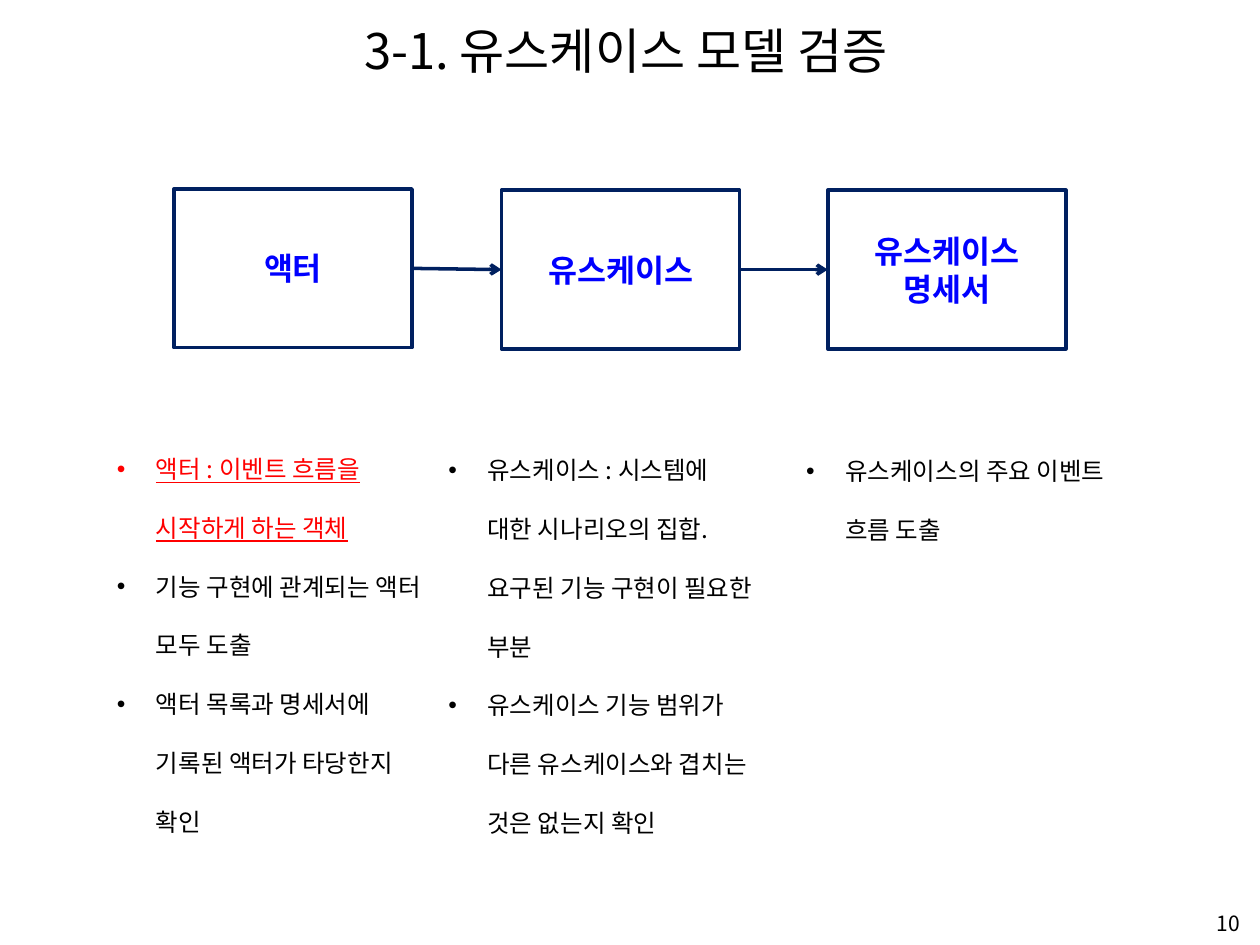
import lxml.etree
import pptx
import pptx.dml.color
import pptx.enum.shapes
import pptx.enum.text
import pptx.oxml.ns
import pptx.util

Inches = pptx.util.Inches
Pt = pptx.util.Pt
RGBColor = pptx.dml.color.RGBColor
Align = pptx.enum.text.PP_ALIGN
Anchor = pptx.enum.text.MSO_ANCHOR
qn = pptx.oxml.ns.qn

FONT = "Noto Sans CJK KR"
BLACK = RGBColor(0x00, 0x00, 0x00)
RED = RGBColor(0xFF, 0x00, 0x00)
BLUE = RGBColor(0x00, 0x00, 0xFF)
NAVY = RGBColor(0x00, 0x20, 0x60)


def write(box, text, first=True, size=14, color=BLACK, bold=False, underline=False,
          align=Align.LEFT, anchor=Anchor.MIDDLE, bullet=False):
    frame = box.text_frame
    frame.word_wrap = True
    frame.vertical_anchor = anchor
    para = frame.paragraphs[0] if first else frame.add_paragraph()
    para.alignment = align
    if bullet:
        para.line_spacing = 2.0
        properties = para._p.get_or_add_pPr()
        properties.set("marL", str(Inches(0.31)))
        properties.set("indent", str(-Inches(0.31)))
        lxml.etree.SubElement(properties, qn("a:buFont")).set("typeface", "Arial")
        lxml.etree.SubElement(properties, qn("a:buChar")).set("char", "•")
    span = para.add_run()
    span.text = text
    span.font.size = Pt(size)
    span.font.bold = bold
    span.font.underline = underline
    span.font.color.rgb = color
    span.font.name = FONT
    lxml.etree.SubElement(span.font._element, qn("a:ea")).set("typeface", FONT)


deck = pptx.Presentation()
deck.slide_width = Inches(10)
deck.slide_height = Inches(7.5)
page = deck.slides.add_slide(deck.slide_layouts[6])

title = page.shapes.add_textbox(Inches(0.12), Inches(0.05), Inches(9.69), Inches(0.69))
write(title, "3-1. 유스케이스 모델 검증", size=28, align=Align.CENTER)

page_number = page.shapes.add_textbox(Inches(7.61), Inches(7.2), Inches(2.33), Inches(0.25))
write(page_number, "10", size=12, align=Align.RIGHT)

steps = [
    (1.38, 1.5, ["액터"]),
    (3.98, 1.51, ["유스케이스"]),
    (6.57, 1.51, ["유스케이스", "명세서"]),
]
step_boxes = []
for left, top, lines in steps:
    box = page.shapes.add_shape(pptx.enum.shapes.MSO_SHAPE.RECTANGLE,
                                Inches(left), Inches(top), Inches(1.89), Inches(1.26))
    box.shadow.inherit = False
    box.fill.background()
    box.line.color.rgb = NAVY
    box.line.width = Pt(2)
    for index, line in enumerate(lines):
        write(box, line, first=index == 0, size=18, color=BLUE, bold=True, align=Align.CENTER)
    step_boxes.append(box)

for source, target in zip(step_boxes, step_boxes[1:]):
    arrow = page.shapes.add_connector(pptx.enum.shapes.MSO_CONNECTOR.STRAIGHT, 0, 0, 0, 0)
    arrow.begin_connect(source, 3)
    arrow.end_connect(target, 1)
    arrow.line.color.rgb = NAVY
    arrow.line.width = Pt(2)
    lxml.etree.SubElement(arrow.line._get_or_add_ln(), qn("a:tailEnd")).set("type", "arrow")
    lxml.etree.SubElement(arrow._element.spPr, qn("a:effectLst"))

columns = [
    (0.83, 3.32, 3.4, [
        ("액터 : 이벤트 흐름을 시작하게 하는 객체", {"color": RED, "underline": True}),
        ("기능 구현에 관계되는 액터 모두 도출", {}),
        ("액터 목록과 명세서에 기록된 액터가 타당한지 확인", {}),
    ]),
    (3.46, 3.33, 3.4, [
        ("유스케이스 : 시스템에 대한 시나리오의 집합. 요구된 기능 구현이 필요한 부분", {}),
        ("유스케이스 기능 범위가 다른 유스케이스와 겹치는 것은 없는지 확인", {}),
    ]),
    (6.3, 3.34, 1.04, [
        ("유스케이스의 주요 이벤트 흐름 도출", {}),
    ]),
]
for left, top, height, points in columns:
    column = page.shapes.add_textbox(Inches(left), Inches(top), Inches(2.64), Inches(height))
    column.text_frame.auto_size = pptx.enum.text.MSO_AUTO_SIZE.SHAPE_TO_FIT_TEXT
    for index, (text, style) in enumerate(points):
        write(column, text, first=index == 0, anchor=Anchor.TOP, bullet=True, **style)

deck.save("out.pptx")
